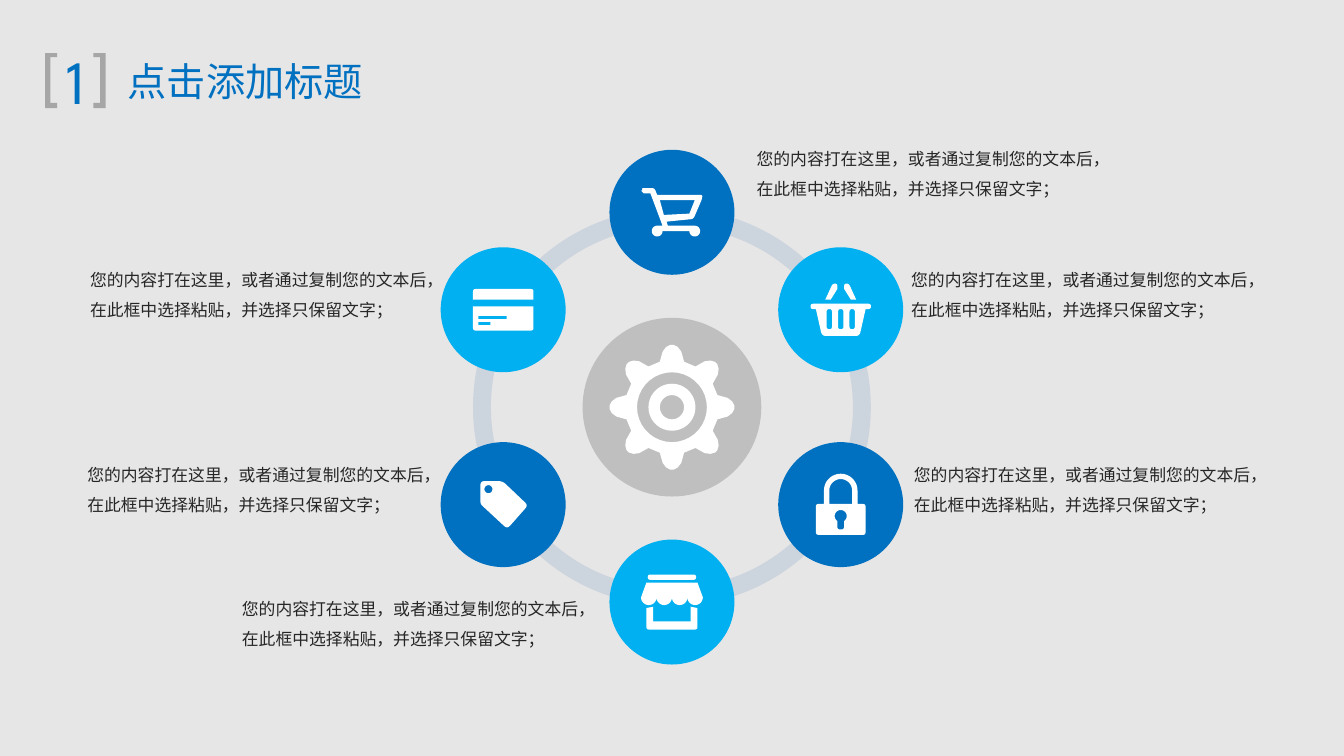
from dataclasses import dataclass
from math import cos, hypot, radians, sin

from lxml import etree
from pptx import Presentation
from pptx.dml.color import RGBColor
from pptx.enum.shapes import MSO_SHAPE
from pptx.enum.text import MSO_ANCHOR, MSO_AUTO_SIZE, PP_ALIGN
from pptx.oxml.ns import qn
from pptx.util import Inches, Pt

OVAL, BLOCK_ARC = MSO_SHAPE.OVAL, MSO_SHAPE.BLOCK_ARC
MIDDLE, TOP = MSO_ANCHOR.MIDDLE, MSO_ANCHOR.TOP
CENTER, LEFT = PP_ALIGN.CENTER, PP_ALIGN.LEFT
FIT_SHAPE = MSO_AUTO_SIZE.SHAPE_TO_FIT_TEXT

Contour = list[tuple[float, float]]


@dataclass(frozen=True)
class Theme:
    background: str = "E7E6E6"
    blue: str = "0070C0"
    sky: str = "00B0F0"
    ring: str = "CCD4DE"
    hub: str = "BFBFBF"
    bracket: str = "A6A6A6"
    body: str = "262626"
    white: str = "FFFFFF"
    heading_font: str = "League Spartan"
    body_font: str = "Noto Sans CJK SC"
    title_size: float = 21
    number_size: float = 33
    body_size: float = 9


@dataclass(frozen=True)
class Node:
    icon: list[Contour]
    color: str
    note_left: float
    note_top: float
    note_height: float = 0.45


THEME = Theme()
SLIDE_WIDTH = Inches(10)
SLIDE_HEIGHT = SLIDE_WIDTH * 9 // 16
HUB_X, HUB_Y = 5, 3.03
ORBIT, NODE_RADIUS, HUB_RADIUS, RING_RADIUS = 1.45, 0.465, 0.665, 1.48
NOTE = "您的内容打在这里，或者通过复制您的文本后，在此框中选择粘贴，并选择只保留文字；"


# Outline geometry, in inches around an icon's centre
def arc(x: float, y: float, radius: float, start: int = 0, end: int = 360) -> Contour:
    steps = max(6, abs(end - start) // 10)
    angles = [radians(start + (end - start) * i / steps) for i in range(steps + 1)]
    return [(x + radius * cos(a), y + radius * sin(a)) for a in angles]


def rounded(*corners: tuple[float, ...]) -> Contour:
    """Polygon whose corners are (x, y) or (x, y, rounding)."""
    outline: Contour = []
    for i, (x, y, *rounding) in enumerate(corners):
        if not rounding:
            outline.append((x, y))
            continue
        ends = []
        for near in (corners[i - 1], corners[(i + 1) % len(corners)]):
            share = rounding[0] / hypot(near[0] - x, near[1] - y)
            ends.append((x + (near[0] - x) * share, y + (near[1] - y) * share))
        (ax, ay), (bx, by) = ends
        for t in (0, 0.25, 0.5, 0.75, 1):
            a, c, b = (1 - t) ** 2, 2 * t * (1 - t), t ** 2
            outline.append((a * ax + c * x + b * bx, a * ay + c * y + b * by))
    return outline


def box(left: float, top: float, right: float, bottom: float,
        upper: float = 0, lower: float = 0) -> Contour:
    return rounded((left, top, upper), (right, top, upper),
                   (right, bottom, lower), (left, bottom, lower))


def mirror(outline: Contour) -> Contour:
    return [(-x, y) for x, y in outline]


# Icons
TOOTH = [(-15, 0.35), (-9.5, 0.42), (-5.5, 0.45), (-1.5, 0.465),
         (1.5, 0.465), (5.5, 0.45), (9.5, 0.42), (15, 0.35)]
GEAR = [[(r * cos(radians(45 * k + a)), r * sin(radians(45 * k + a)))
         for k in range(8) for a, r in TOOTH],
        arc(0, 0, 0.26), arc(0, 0, 0.175), arc(0, 0, 0.09)]

CART = [rounded((-0.23, -0.18, 0.02), (-0.13, -0.18, 0.02), (-0.11, -0.13),
                (0.23, -0.13, 0.02), (0.22, -0.09), (0.16, 0.05, 0.02),
                (-0.04, 0.07), (-0.03, 0.1))
        + arc(0.17, 0.14, 0.04, -90, 180) + arc(-0.11, 0.14, 0.04, 0, 270)
        + rounded((-0.07, 0.1), (-0.16, -0.14), (-0.21, -0.14), (-0.23, -0.16)),
        rounded((-0.09, -0.09), (0.17, -0.09), (0.13, 0.01), (-0.06, 0.02))]

HANDLE = rounded((0.025, -0.155), (0.025, -0.195, 0.02), (0.06, -0.195, 0.02),
                 (0.115, -0.075), (0.075, -0.075))
BASKET = [rounded((-0.225, -0.045, 0.02), (0.225, -0.045, 0.02), (0.225, -0.005, 0.02),
                  (0.185, -0.005), (0.14, 0.195, 0.03), (-0.14, 0.195, 0.03),
                  (-0.185, -0.005), (-0.225, -0.005, 0.02)),
          HANDLE, mirror(HANDLE),
          *[box(x - 0.02, -0.005, x + 0.02, 0.145, 0.02, 0.02)
            for x in (-0.085, 0, 0.085)]]

LOCK = [box(-0.185, -0.005, 0.185, 0.225, 0.02, 0.02),
        [(-0.125, -0.005), *arc(0, -0.105, 0.125, 180, 360), (0.125, -0.005),
         (0.085, -0.005), *arc(0, -0.105, 0.085, 360, 180), (-0.085, -0.005)],
        arc(0, 0.085, 0.045, 125, 415)
        + rounded((0.025, 0.125), (0.025, 0.185, 0.02), (-0.025, 0.185, 0.02), (-0.025, 0.125))]

SCALLOP = 0.0575
STORE = [box(-0.18, -0.205, 0.18, -0.165, 0.02, 0.02),
         [(-0.19, -0.145), (0.19, -0.145),
          *[p for k in (3, 1, -1, -3) for p in arc(k * SCALLOP, -0.035, SCALLOP, 0, 180)]],
         rounded((-0.19, 0.045), (-0.14, 0.035), (-0.14, 0.145), (0.14, 0.145),
                 (0.14, 0.035), (0.19, 0.045), (0.19, 0.205, 0.02), (-0.19, 0.205, 0.02))]

TAG = [rounded((-0.17, -0.175, 0.03), (-0.005, -0.175, 0.03), (0.185, 0.005, 0.03),
               (0.03, 0.18, 0.03), (-0.17, -0.005, 0.02)),
       arc(-0.11, -0.115, 0.03)]

CARD = [box(-0.225, -0.155, 0.225, -0.075, upper=0.02),
        box(-0.225, -0.025, 0.225, 0.155, lower=0.02),
        box(-0.185, 0.045, 0.025, 0.07), box(-0.185, 0.09, -0.095, 0.115)]

BRACKET = rounded((-0.225, -0.205), (-0.135, -0.205), (-0.135, -0.175), (-0.185, -0.175),
                  (-0.185, 0.165), (-0.135, 0.165), (-0.135, 0.205), (-0.225, 0.205))

# Clockwise from the top
NODES = [
    Node(CART, THEME.blue, 5.63, 1.03),
    Node(BASKET, THEME.sky, 6.78, 1.93),
    Node(LOCK, THEME.blue, 6.8, 3.38, 0.43),
    Node(STORE, THEME.sky, 1.8, 4.38, 0.43),
    Node(TAG, THEME.blue, 0.65, 3.38),
    Node(CARD, THEME.sky, 0.67, 1.93),
]


# Drawing
def paint(shape, color: str) -> None:
    shape.shadow.inherit = False
    shape.fill.solid()
    shape.fill.fore_color.rgb = RGBColor.from_string(color)
    shape.line.fill.background()


def draw_round(shapes, kind, x: float, y: float, radius: float, color: str):
    shape = shapes.add_shape(kind, Inches(x - radius), Inches(y - radius),
                             Inches(2 * radius), Inches(2 * radius))
    paint(shape, color)
    return shape


def draw_outline(shapes, contours: list[Contour], x: float, y: float, color: str) -> None:
    placed = [[(Inches(x + px), Inches(y + py)) for px, py in c] for c in contours]
    builder = shapes.build_freeform(*placed[0][0])
    for i, contour in enumerate(placed):
        if i:
            builder.move_to(*contour[0])
        builder.add_line_segments(contour[1:], close=True)
    paint(builder.convert_to_shape(), color)


def write(shape, text: str, *, at: tuple, size: float, font: str, color: str,
          align=CENTER, anchor=MIDDLE, wrap: bool = False, insets: tuple = (0.1, 0.05, 0.1, 0.05),
          line_spacing: float = 1, space_before: float = 0) -> None:
    shape.left, shape.top, shape.width, shape.height = map(Inches, at)
    frame = shape.text_frame
    frame.word_wrap, frame.auto_size, frame.vertical_anchor = wrap, FIT_SHAPE, anchor
    (frame.margin_left, frame.margin_top,
     frame.margin_right, frame.margin_bottom) = map(Inches, insets)
    paragraph = frame.paragraphs[0]
    paragraph.alignment, paragraph.line_spacing = align, line_spacing
    paragraph.space_before = Pt(space_before)
    run = paragraph.add_run()
    run.text = text
    run.font.size, run.font.name = Pt(size), font
    run.font.color.rgb = RGBColor.from_string(color)
    # East Asian typeface
    etree.SubElement(run.font._element, qn("a:ea"), typeface=THEME.body_font)


def main() -> None:
    deck = Presentation()
    deck.slide_width, deck.slide_height = SLIDE_WIDTH, SLIDE_HEIGHT
    slide = deck.slides.add_slide(deck.slide_layouts[5])
    slide.background.fill.solid()
    slide.background.fill.fore_color.rgb = RGBColor.from_string(THEME.background)
    shapes = slide.shapes

    # Heading with its bracketed number
    heading = {"font": THEME.heading_font, "color": THEME.blue}
    write(shapes.title, "点击添加标题", at=(0.84, 0.38, 1.97, 0.45),
          size=THEME.title_size, **heading)
    write(shapes.add_textbox(0, 0, 0, 0), "1", at=(0.33, 0.28, 0.47, 0.64),
          size=THEME.number_size, insets=(0.1, 0.04, 0.1, 0.05), **heading)
    for side in (BRACKET, mirror(BRACKET)):
        draw_outline(shapes, [side], 0.56, 0.6, THEME.bracket)

    # Ring: five short arcs and the half circle that closes it
    for start, end in [*((a, a + 36) for a in range(18, 198, 36)), (198, 18)]:
        segment = draw_round(shapes, BLOCK_ARC, HUB_X, HUB_Y, RING_RADIUS, THEME.ring)
        for i, value in enumerate((start * 0.6, end * 0.6, 0.045)):
            segment.adjustments[i] = value

    # Hub
    draw_round(shapes, OVAL, HUB_X, HUB_Y, HUB_RADIUS, THEME.hub)
    draw_outline(shapes, GEAR, HUB_X, HUB_Y, THEME.white)

    # Nodes around the hub, each with its note
    for i, node in enumerate(NODES):
        angle = radians(60 * i - 90)
        x, y = HUB_X + ORBIT * cos(angle), HUB_Y + ORBIT * sin(angle)
        draw_round(shapes, OVAL, x, y, NODE_RADIUS, node.color)
        draw_outline(shapes, node.icon, x, y, THEME.white)
        write(shapes.add_textbox(0, 0, 0, 0), NOTE,
              at=(node.note_left, node.note_top, 2.54, node.note_height),
              size=THEME.body_size, font=THEME.body_font, color=THEME.body,
              align=LEFT, anchor=TOP, wrap=True, insets=(0, 0, 0, 0),
              line_spacing=1.5, space_before=1.8)

    deck.save("out.pptx")


if __name__ == "__main__":
    main()
